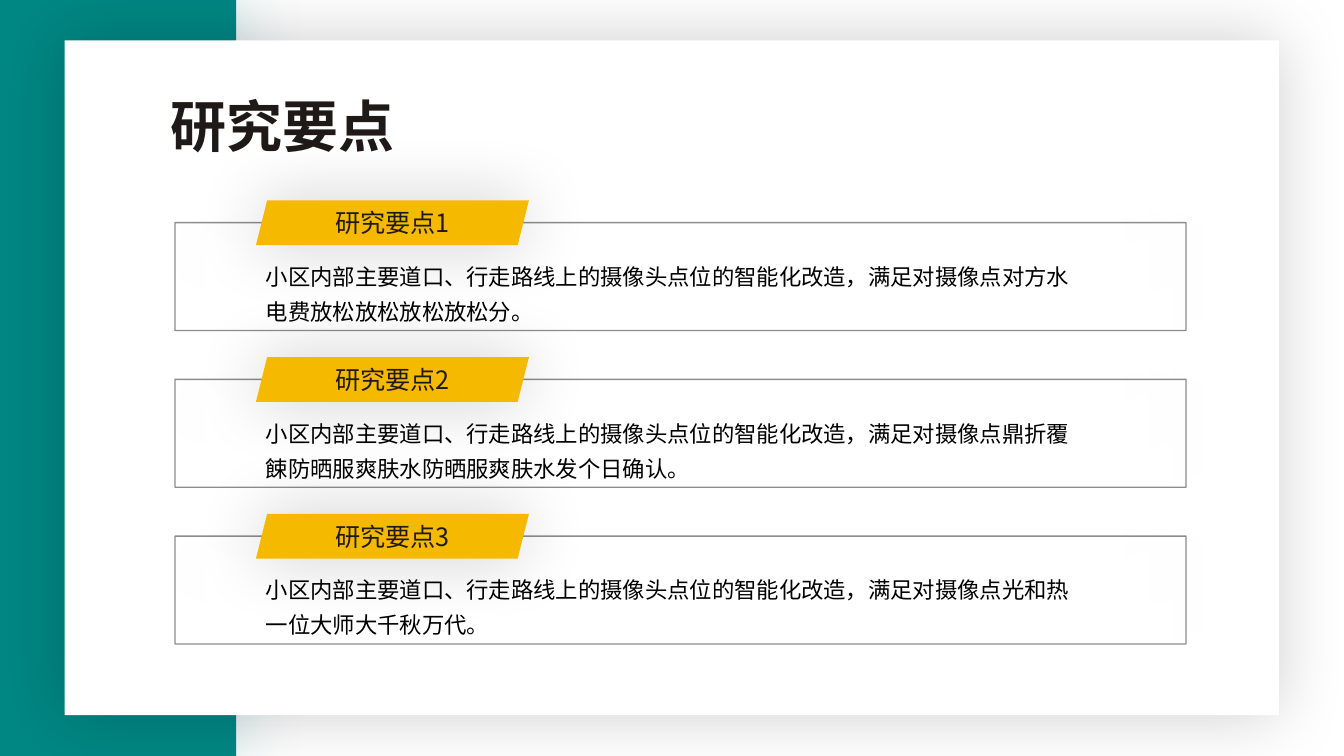
from dataclasses import dataclass

from pptx import Presentation
from pptx.dml.color import RGBColor
from pptx.enum.shapes import MSO_SHAPE
from pptx.enum.text import MSO_ANCHOR, PP_ALIGN
from pptx.oxml import parse_xml
from pptx.oxml.ns import nsdecls, qn
from pptx.shapes.autoshape import Shape
from pptx.slide import Slide
from pptx.text.text import TextFrame
from pptx.util import Cm, Pt

FONT = "Noto Sans CJK SC"
TEAL, WHITE, BLACK = "008784", "FFFFFF", "000000"
INK, GOLD = "1F1A17", "F5B900"
TOP, STEP = 5.05, 3.95  # first tag and distance between points, cm


@dataclass
class Box:
    left: float
    top: float
    width: float
    height: float

    def cm(self) -> list[Cm]:
        return [Cm(n) for n in (self.left, self.top, self.width, self.height)]


@dataclass
class Point:
    label: str
    body: str


POINTS = [
    Point("研究要点1", "小区内部主要道口、行走路线上的摄像头点位的智能化改造，"
          "满足对摄像点对方水电费放松放松放松放松分。"),
    Point("研究要点2", "小区内部主要道口、行走路线上的摄像头点位的智能化改造，"
          "满足对摄像点鼎折覆餗防晒服爽肤水防晒服爽肤水发个日确认。"),
    Point("研究要点3", "小区内部主要道口、行走路线上的摄像头点位的智能化改造，"
          "满足对摄像点光和热一位大师大千秋万代。"),
]


def color(code: str) -> RGBColor:
    return RGBColor.from_string(code)


def shade(shape: Shape, code: str = BLACK, gap: float = 0) -> None:
    """Give the shape a soft outer shadow."""
    shape.shadow.inherit = False
    shape.element.spPr.find(qn("a:effectLst")).append(parse_xml(
        f'<a:outerShdw {nsdecls("a")} blurRad="{Pt(50)}" dist="{Pt(gap)}" '
        f'dir="0" algn="ctr" rotWithShape="0"><a:srgbClr val="{code}">'
        '<a:alpha val="20000"/></a:srgbClr></a:outerShdw>'))


def block(slide: Slide, box: Box, fill: str,
          kind: MSO_SHAPE = MSO_SHAPE.RECTANGLE) -> Shape:
    shape = slide.shapes.add_shape(kind, *box.cm())
    shape.fill.solid()
    shape.fill.fore_color.rgb = color(fill)
    shape.line.fill.background()
    return shape


def frame(slide: Slide, box: Box) -> None:
    """Draw an unfilled box with a half transparent border."""
    shape = slide.shapes.add_shape(MSO_SHAPE.RECTANGLE, *box.cm())
    shape.fill.background()
    shape.line.width = Pt(1)
    shape.line.color.rgb = color(INK)
    tint = shape.element.spPr.find(qn("a:ln")).find(".//" + qn("a:srgbClr"))
    tint.append(parse_xml(f'<a:alpha {nsdecls("a")} val="50000"/>'))
    shade(shape)


def write(text: TextFrame, words: str, size: float, code: str,
          bold: bool = False) -> None:
    text.text = words
    run = text.paragraphs[0].runs[0]
    font = run.font
    font.size, font.bold, font.name = Pt(size), bold, FONT
    font.color.rgb = color(code)
    run._r.get_or_add_rPr().append(
        parse_xml(f'<a:ea {nsdecls("a")} typeface="{FONT}"/>'))


def label(slide: Slide, box: Box, words: str) -> None:
    shape = block(slide, box, GOLD, MSO_SHAPE.PARALLELOGRAM)
    shade(shape)
    text = shape.text_frame
    write(text, words, 18, INK)
    text.vertical_anchor = MSO_ANCHOR.MIDDLE
    text.paragraphs[0].alignment = PP_ALIGN.CENTER


def prose(slide: Slide, box: Box, words: str) -> None:
    text = slide.shapes.add_textbox(*box.cm()).text_frame
    text.word_wrap = True
    write(text, words, 16, BLACK)
    text.paragraphs[0].line_spacing = Pt(25)


def title(slide: Slide, words: str) -> None:
    text = slide.shapes.add_textbox(*Box(4.3, 2.25, 11.65, 1.8).cm()).text_frame
    text.word_wrap = False
    text.margin_left = 0
    write(text, words, 40, INK, bold=True)
    text.paragraphs[0].line_spacing = Pt(46)


def main() -> None:
    deck = Presentation()
    deck.slide_width, deck.slide_height = Cm(33.87), Cm(19.05)
    slide = deck.slides.add_slide(deck.slide_layouts[6])

    shade(block(slide, Box(0, 0, 5.95, 19.05), TEAL), TEAL, 3)
    shade(block(slide, Box(1.63, 1.02, 30.6, 17), WHITE))
    title(slide, "研究要点")

    rows = [(TOP + i * STEP, point) for i, point in enumerate(POINTS)]
    for top, point in rows:
        prose(slide, Box(6.45, top + 1.25, 21.05, 1.95), point.body)
    for top, point in rows:
        frame(slide, Box(4.41, top + 0.56, 25.48, 2.72))
        label(slide, Box(6.45, top, 6.88, 1.13), point.label)

    deck.save("out.pptx")


if __name__ == "__main__":
    main()
